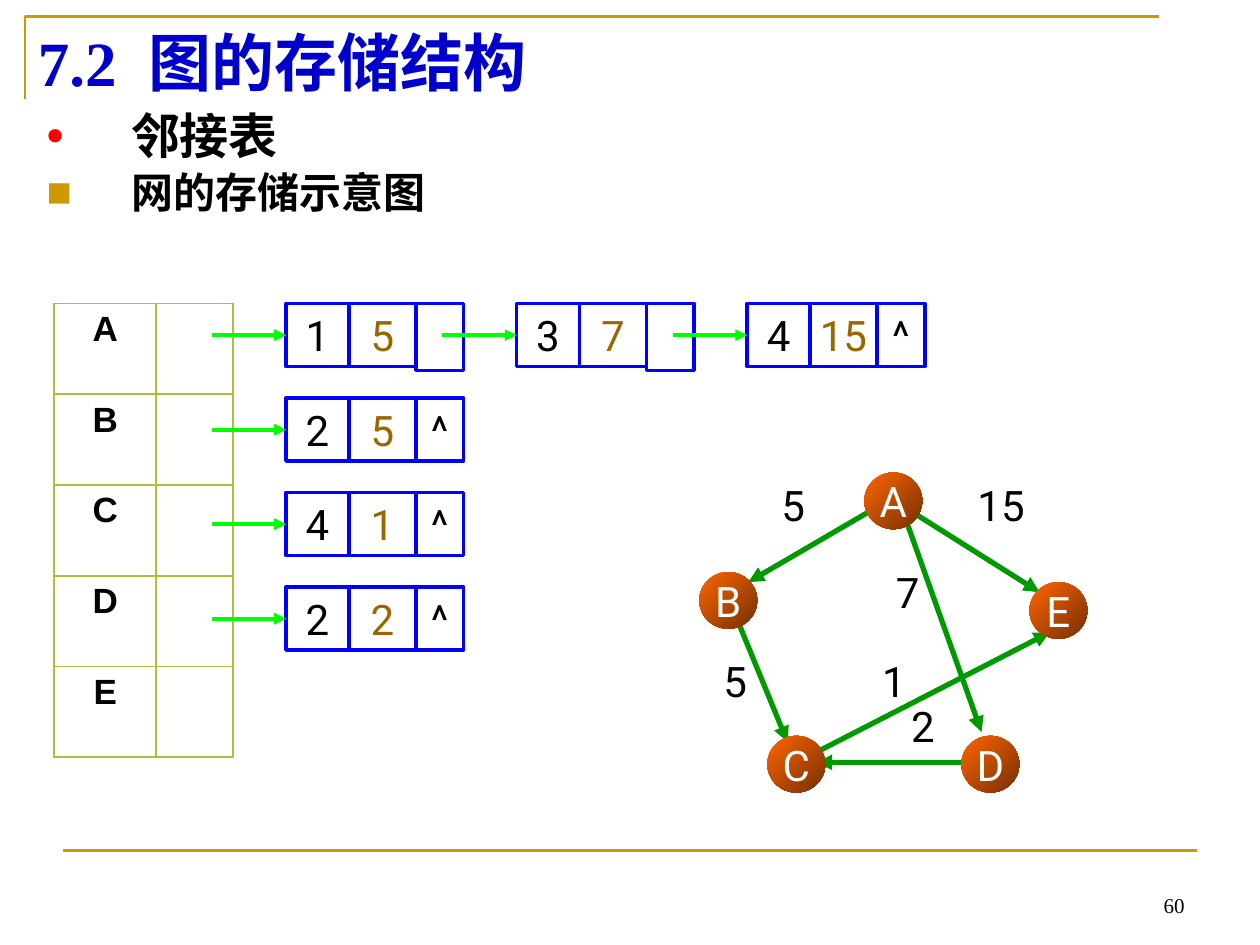
"""Build the slide on adjacency-list storage of a weighted directed graph."""
from dataclasses import dataclass

from lxml.etree import SubElement
from pptx import Presentation
from pptx.dml.color import RGBColor
from pptx.enum.shapes import MSO_CONNECTOR, MSO_SHAPE
from pptx.enum.text import MSO_ANCHOR, MSO_AUTO_SIZE, PP_ALIGN
from pptx.oxml.ns import qn
from pptx.util import Inches, Pt

GOLD, BLACK, BLUE, BROWN = "CC9900", "000000", "0000FF", "996600"
CELL_WIDTHS = (0.5, 0.53, 0.38)
CHAIN_LEFT, CHAIN_TOP, CHAIN_STEP, ROW_STEP = 2.27, 2.41, 1.83, 0.75
CELL_HEIGHT, ARROW_LENGTH = 0.5, 0.59


@dataclass
class ListNode:
    row: int
    position: int
    vertex: str
    weight: str
    link: str = "^"


@dataclass
class Vertex:
    name: str
    left: float
    top: float


@dataclass
class Edge:
    start: tuple[float, float]
    end: tuple[float, float]


@dataclass
class WeightLabel:
    text: str
    left: float
    top: float
    width: float = 0.57


@dataclass
class Topic:
    text: str
    size: int
    bullet: str
    bullet_color: str
    before: int
    spacing: float


LIST_NODES = [
    ListNode(0, 0, "1", "5", ""), ListNode(0, 1, "3", "7", ""), ListNode(0, 2, "4", "15"),
    ListNode(1, 0, "2", "5"), ListNode(2, 0, "4", "1"), ListNode(3, 0, "2", "2"),
]
EDGES = [
    Edge((7.25, 4.07), (8.25, 4.7)), Edge((5.86, 4.94), (6.25, 5.89)),
    Edge((7.02, 3.99), (5.94, 4.62)), Edge((7.17, 4.07), (7.79, 5.81)),
    Edge((7.63, 6.05), (6.48, 6.05)), Edge((6.48, 5.97), (8.33, 5.02)),
]
VERTICES = [
    Vertex("B", 5.55, 4.54), Vertex("D", 7.63, 5.84), Vertex("C", 6.09, 5.84),
    Vertex("E", 8.17, 4.62), Vertex("A", 6.86, 3.75),
]
WEIGHTS = [
    WeightLabel("5", 6.01, 3.76), WeightLabel("5", 5.55, 5.15), WeightLabel("15", 7.49, 3.76, 0.91),
    WeightLabel("1", 6.81, 5.15), WeightLabel("7", 6.92, 4.45), WeightLabel("2", 7.04, 5.51),
]
TOPICS = [
    Topic("邻接表", 28, "•", "FF0000", 0, 0.9),
    Topic("网的存储示意图", 24, "■", GOLD, 6, 0.82),
]


def rgb(value: str) -> RGBColor:
    return RGBColor.from_string(value)


def format_span(span, size: float, color: str, name: str = "Roboto", bold: bool = False) -> None:
    span.font.size, span.font.name, span.font.bold = Pt(size), name, bold
    span.font.color.rgb = rgb(color)
    SubElement(span.font._element, qn("a:ea"), typeface="Noto Sans CJK SC")


def write(frame, text: str, size: float = 24, color: str = BLACK, name: str = "Roboto",
          bold: bool = False, align=PP_ALIGN.CENTER) -> None:
    frame.text = text
    para = frame.paragraphs[0]
    para.alignment = align
    for span in para.runs:
        format_span(span, size, color, name, bold)


def place(item, left: float, top: float, width: float, height: float) -> None:
    item.left, item.top = Inches(left), Inches(top)
    item.width, item.height = Inches(width), Inches(height)


def add_line(page, start: tuple[float, float], end: tuple[float, float], color: str,
             weight: float, arrow: bool = True) -> None:
    points = [Inches(value) for value in (*start, *end)]
    line = page.shapes.add_connector(MSO_CONNECTOR.STRAIGHT, *points)
    line.line.color.rgb, line.line.width = rgb(color), Pt(weight)
    if arrow:
        SubElement(line.line._get_or_add_ln(), qn("a:tailEnd"), type="triangle")
    SubElement(line._element.spPr, qn("a:effectLst"))


def add_frame(page) -> None:
    builder = page.shapes.build_freeform(Inches(0.2), Inches(0.79))
    corners = [(Inches(0.2), Inches(0.13)), (Inches(9.2), Inches(0.13))]
    builder.add_line_segments(corners, close=False)
    frame = builder.convert_to_shape()
    frame.shadow.inherit = False
    frame.fill.background()
    frame.line.color.rgb, frame.line.width = rgb(GOLD), Pt(1.5)
    add_line(page, (0.5, 6.75), (9.5, 6.75), GOLD, 1.5, arrow=False)


def add_title(page) -> None:
    title = page.shapes.title
    place(title, 0.2, 0.13, 9, 0.71)
    title.text_frame.auto_size = MSO_AUTO_SIZE.NONE
    title.text_frame.vertical_anchor = MSO_ANCHOR.MIDDLE
    para = title.text_frame.paragraphs[0]
    para.alignment = PP_ALIGN.LEFT
    for text in ("7.2", " ", "图的存储结构"):
        span = para.add_run()
        span.text = text
        format_span(span, 36, "0000CC", "Times New Roman", True)
    para.runs[1].font._element.set("spc", "900")


def add_topics(page) -> None:
    body = page.placeholders[1]
    place(body, 0.27, 0.84, 9.37, 1.26)
    frame = body.text_frame
    frame.auto_size = MSO_AUTO_SIZE.NONE
    frame.text = "\n".join(topic.text for topic in TOPICS)
    for para, topic in zip(frame.paragraphs, TOPICS):
        para.space_before, para.line_spacing = Pt(topic.before), topic.spacing
        properties = para._p.get_or_add_pPr()
        properties.set("marL", str(Inches(0.67)))
        properties.set("indent", str(Inches(-0.67)))
        bullet_color = SubElement(properties, qn("a:buClr"))
        SubElement(bullet_color, qn("a:srgbClr"), val=topic.bullet_color)
        SubElement(properties, qn("a:buFont"), typeface="Arial")
        SubElement(properties, qn("a:buChar"), char=topic.bullet)
        format_span(para.runs[0], topic.size, BLACK, "Noto Sans CJK SC", True)


def border_cell(cell) -> None:
    properties = cell._tc.get_or_add_tcPr()
    for side in ("lnL", "lnR", "lnT", "lnB"):
        border = SubElement(properties, qn(f"a:{side}"), w=str(Pt(1.08)))
        fill = SubElement(border, qn("a:solidFill"))
        SubElement(fill, qn("a:srgbClr"), val="AFBF39")
    cell.fill.background()


def add_vertex_table(page) -> None:
    names = "ABCDE"
    area = [Inches(value) for value in (0.43, 2.41, 1.42, 3.6)]
    table = page.shapes.add_table(len(names), 2, *area).table
    table.columns[0].width, table.columns[1].width = Inches(0.81), Inches(0.61)
    for row, name in zip(table.rows, names):
        row.height = Inches(0.72)
        write(row.cells[0].text_frame, name, 20, name="Arial", bold=True)
        for cell in row.cells:
            border_cell(cell)


def add_shape(page, kind, left: float, top: float, width: float, height: float):
    shape = page.shapes.add_shape(kind, *[Inches(value) for value in (left, top, width, height)])
    shape.shadow.inherit = False
    shape.text_frame.margin_left = shape.text_frame.margin_right = 0
    return shape


def add_list_node(page, node: ListNode) -> None:
    left = start = CHAIN_LEFT + node.position * CHAIN_STEP
    top = CHAIN_TOP + node.row * ROW_STEP
    values = (node.vertex, node.weight, node.link)
    for text, width, color in zip(values, CELL_WIDTHS, (BLACK, BROWN, BLACK)):
        box = add_shape(page, MSO_SHAPE.RECTANGLE, left, top, width, CELL_HEIGHT if text else 0.53)
        box.fill.background()
        box.line.color.rgb, box.line.width = rgb(BLUE), Pt(2)
        write(box.text_frame, text, color=color)
        left += width
    middle = top + CELL_HEIGHT / 2
    add_line(page, (start - ARROW_LENGTH, middle), (start, middle), "00FF00", 2.25)


def add_vertex(page, vertex: Vertex) -> None:
    circle = add_shape(page, MSO_SHAPE.OVAL, vertex.left, vertex.top, 0.46, 0.45)
    circle.fill.gradient()
    circle.fill.gradient_angle = 315
    for stop, color in zip(circle.fill.gradient_stops, ("FF6600", "762F00")):
        stop.color.rgb = rgb(color)
    circle.line.fill.background()
    circle.text_frame.word_wrap = False
    write(circle.text_frame, vertex.name, color="FFFFFF")


def add_text(page, left: float, top: float, width: float, text: str, **style):
    box = page.shapes.add_textbox(*[Inches(value) for value in (left, top, width, 0.5)])
    box.text_frame.word_wrap = True
    write(box.text_frame, text, **style)
    return box


def main() -> None:
    deck = Presentation()
    deck.slide_width, deck.slide_height = Inches(10), Inches(7.5)
    page = deck.slides.add_slide(deck.slide_layouts[1])
    add_frame(page)
    add_title(page)
    add_topics(page)
    add_vertex_table(page)
    for node in LIST_NODES:
        add_list_node(page, node)
    for edge in EDGES:
        add_line(page, edge.start, edge.end, "009900", 3)
    for vertex in VERTICES:
        add_vertex(page, vertex)
    for label in WEIGHTS:
        add_text(page, label.left, label.top, label.width, label.text)
    number = add_text(page, 7.17, 6.83, 2.33, "60", size=12, name="Times New Roman",
                      align=PP_ALIGN.RIGHT)
    number.text_frame.vertical_anchor = MSO_ANCHOR.BOTTOM
    deck.save("out.pptx")


if __name__ == "__main__":
    main()
